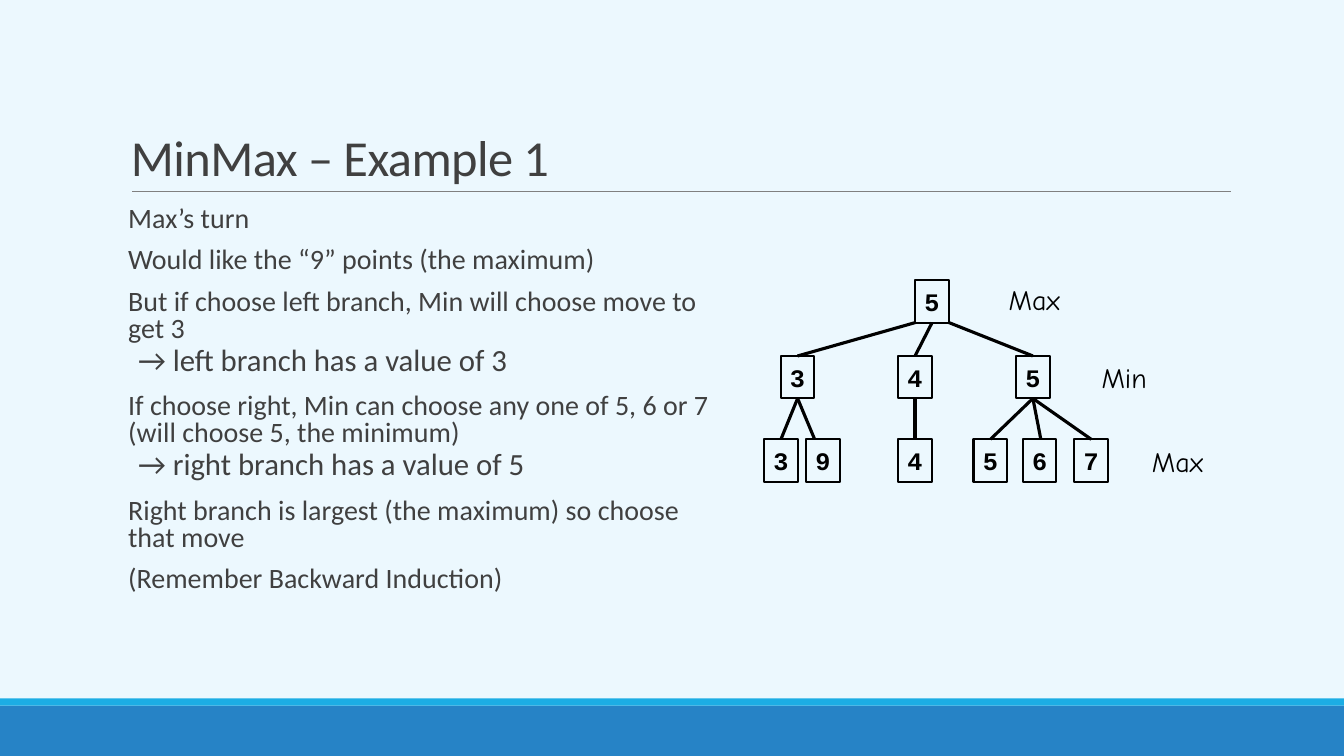
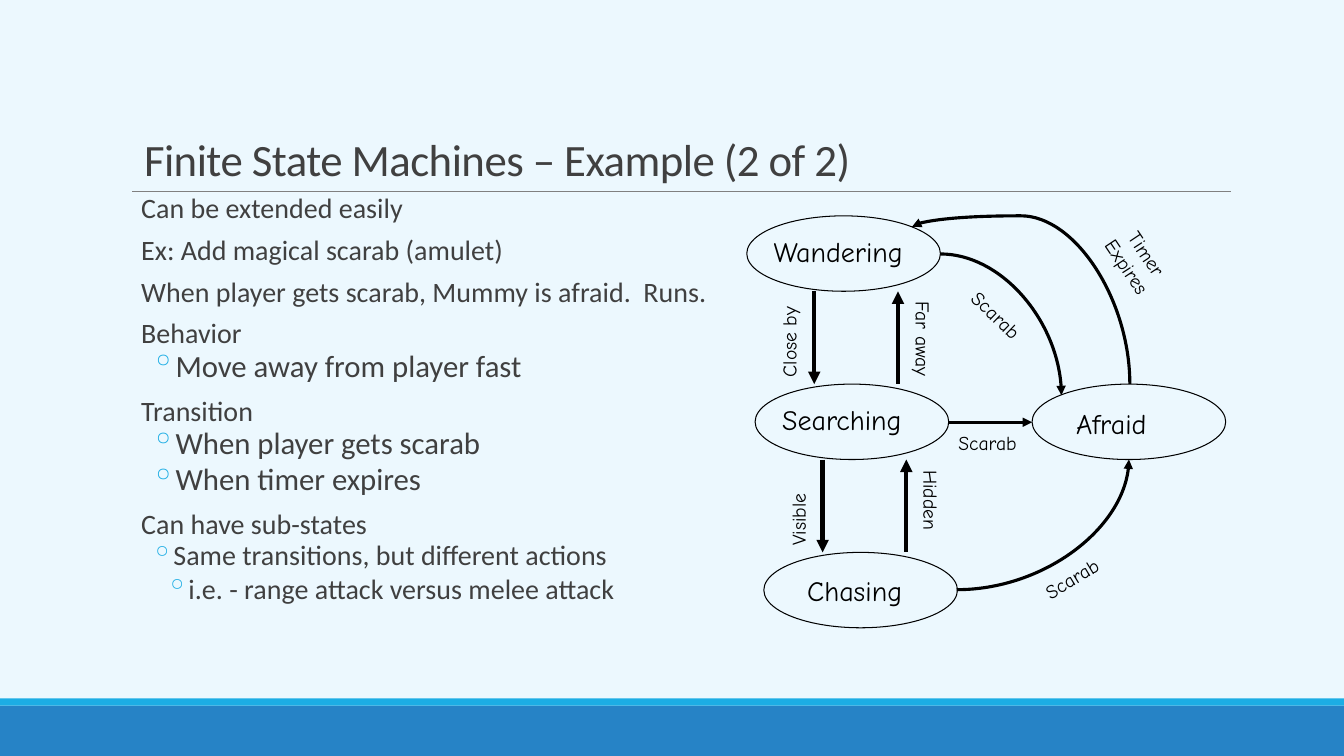
from pptx import Presentation
from pptx.dml.color import RGBColor as Rgb
from pptx.enum.shapes import MSO_CONNECTOR as Join, MSO_SHAPE as Form
from pptx.enum.text import MSO_ANCHOR as Anchor, MSO_AUTO_SIZE as Fit, PP_ALIGN as Align
from pptx.oxml import parse_xml
from pptx.oxml.ns import nsdecls, qn
from pptx.util import Cm, Pt


class Theme:
    back = Rgb.from_string("ECF8FE")
    band = Rgb.from_string("2683C6")
    strip = Rgb.from_string("1CADE4")
    rule = Rgb.from_string("808080")
    text = Rgb.from_string("404040")
    ink = Rgb.from_string("000000")
    face, hand, mono = "Calibri", "Comic Neue", "Courier New"
    body, sub, node, state, note = 20, 22, 18, 20, 14


def label(slide, text, box, size, face=Theme.hand, tint=Theme.ink, turn=0):
    """Add a one-style text box; box is left, top, width, height in cm."""
    shape = slide.shapes.add_textbox(*map(Cm, box))
    shape.rotation = turn
    frame = shape.text_frame
    frame.text = text
    frame.word_wrap = False
    frame.auto_size = Fit.SHAPE_TO_FIT_TEXT
    for para in frame.paragraphs:
        font = para.font
        font.name, font.size, font.color.rgb = face, Pt(size), tint
    return shape


def link(slide, start, end, width, tip=None, tint=Theme.ink, kind=Join.STRAIGHT):
    """Join two points in cm; tip is headEnd, tailEnd or None."""
    line = slide.shapes.add_connector(kind, *map(Cm, start + end))
    line.line.color.rgb = tint
    line.line.width = Pt(width)
    props = line._element.spPr
    if tip:
        props.find(qn("a:ln")).append(parse_xml(f'<a:{tip} {nsdecls("a")} type="triangle"/>'))
    props.append(parse_xml(f'<a:effectLst {nsdecls("a")}/>'))
    return line


prs = Presentation()
prs.slide_width, prs.slide_height = Cm(33.87), Cm(19.05)
fill = prs.slide_master.background.fill
fill.solid()
fill.fore_color.rgb = Theme.back

# Left margin, hanging indent (cm), space before and after (pt) by level
levels = [(0.18, 0, 9, 1.5), (0.81, -0.38, 1.5, 3), (1.19, -0.38, 1.5, 3)]

# Title, its size and box; body box; body lines as level, size, text
pages = [
    ("MinMax – Example 1", 36, (3.05, 0.79, 27.94, 4.04), (3.05, 5.08, 15.01, 11.86), [
        (0, Theme.body, "Max’s turn"),
        (0, Theme.body, "Would like the “9” points (the maximum)"),
        (0, Theme.body, "But if choose left branch, Min will choose move to get 3"),
        (1, Theme.sub, "→ left branch has a value of 3"),
        (0, Theme.body, "If choose right, Min can choose any one of 5, 6 or 7 "
                        "(will choose 5, the minimum)"),
        (1, Theme.sub, "→ right branch has a value of 5"),
        (0, Theme.body, "Right branch is largest (the maximum) so choose that move"),
        (0, Theme.body, "(Remember Backward Induction)"),
    ]),
    ("Finite State Machines – Example (2 of 2)", 32,
     (3.38, 1.63, 22.43, 3.18), (3.38, 4.85, 14.99, 13.34), [
        (0, Theme.body, "Can be extended easily"),
        (0, Theme.body, "Ex: Add magical scarab (amulet)"),
        (0, Theme.body, "When player gets scarab, Mummy is afraid.  Runs."),
        (0, Theme.body, "Behavior"),
        (1, Theme.sub, "Move away from player fast"),
        (0, Theme.body, "Transition"),
        (1, Theme.sub, "When player gets scarab"),
        (1, Theme.sub, "When timer expires"),
        (0, Theme.body, "Can have sub-states"),
        (1, Theme.body, "Same transitions, but different actions"),
        (2, Theme.body, "i.e. - range attack versus melee attack"),
    ]),
]

for title, size, head, area, lines in pages:
    slide = prs.slides.add_slide(prs.slide_layouts[6])
    for top, high, tint in [(17.78, 1.27, Theme.band), (17.6, 0.18, Theme.strip)]:
        bar = slide.shapes.add_shape(Form.RECTANGLE, 0, Cm(top), prs.slide_width, Cm(high))
        bar.shadow.inherit = False
        bar.fill.solid()
        bar.fill.fore_color.rgb = tint
        bar.line.fill.background()
    link(slide, (3.33, 4.83), (31.01, 4.83), 0.5, tint=Theme.rule)

    frame = label(slide, title, head, size, Theme.face, Theme.text).text_frame
    frame.auto_size, frame.word_wrap = Fit.NONE, True
    frame.vertical_anchor = Anchor.BOTTOM
    para = frame.paragraphs[0]
    para.line_spacing = 0.85
    para.runs[0].font._element.set("spc", "-40")

    frame = slide.shapes.add_textbox(*map(Cm, area)).text_frame
    frame.word_wrap = True
    frame.margin_left = frame.margin_right = 0
    for num, (level, size, text) in enumerate(lines):
        para = frame.add_paragraph() if num else frame.paragraphs[0]
        para.text = text
        para.level = level
        para.line_spacing = 0.8
        left, hang, before, after = levels[level]
        para.space_before, para.space_after = Pt(before if num else 0), Pt(after)
        props = para._element.get_or_add_pPr()
        props.set("marL", str(Cm(left)))
        props.set("indent", str(Cm(hang)))
        if level and not text.startswith("→"):
            props.append(parse_xml(
                f'<a:buClr {nsdecls("a")}><a:srgbClr val="{Theme.strip}"/></a:buClr>'))
            props.append(parse_xml(f'<a:buChar {nsdecls("a")} char="◦"/>'))
        font = para.font
        font.name, font.size, font.color.rgb = Theme.face, Pt(size), Theme.text

tree, chart = prs.slides

# Game tree: each branch is value, centre, leaves; each leaf is value, centre, line end
wide, high = 0.85, 1.07
rows = [7.06, 8.97, 11.07]
root = 23.49
branches = [
    ("3", 20.1, [("3", 19.68, 19.68), ("9", 20.74, 20.53)]),
    ("4", 23.06, [("4", 23.06, 23.06)]),
    ("5", 26.03, [("5", 24.96, 24.96), ("6", 26.2, 26.23), ("7", 27.5, 27.5)]),
]
nodes = [("5", root, rows[0])]
for side, (value, mid, leaves) in zip((-1, 0, 1), branches):
    nodes.append((value, mid, rows[1]))
    link(tree, (mid, rows[1]), (root + side * wide / 2, rows[0] + high), 2.25)
    for leaf, spot, end in leaves:
        nodes.append((leaf, spot, rows[2]))
        link(tree, (end, rows[2]), (mid, rows[1] + high), 2.25)
for value, mid, top in nodes:
    node = tree.shapes.add_shape(
        Form.RECTANGLE, Cm(mid - wide / 2), Cm(top), Cm(wide), Cm(high))
    node.shadow.inherit = False
    node.fill.background()
    node.line.color.rgb, node.line.width = Theme.ink, Pt(1.5)
    frame = node.text_frame
    frame.text = value
    frame.word_wrap = False
    frame.vertical_anchor = Anchor.MIDDLE
    para = frame.paragraphs[0]
    para.alignment = Align.CENTER
    font = para.font
    font.name, font.size, font.bold = Theme.mono, Pt(Theme.node), True
    font.color.rgb = Theme.ink
for text, left, top, span in [
        ("Max", 25.17, 6.99, 1.9), ("Min", 27.51, 8.97, 1.7), ("Max", 28.78, 11.07, 1.9)]:
    label(tree, text, (left, top, span, 1.09), Theme.state)

# State machine: oval left and top, then label left, top and width
for name, left, top, inset, drop, span in [
        ("Wandering", 18.82, 5.44, 19.25, 5.79, 4.06),
        ("Searching", 19.03, 9.68, 19.46, 10.03, 3.81),
        ("Chasing", 19.25, 13.92, 20.09, 14.33, 3),
        ("Afraid", 26.01, 9.68, 26.87, 10.11, 2.69)]:
    oval = chart.shapes.add_shape(Form.OVAL, Cm(left), Cm(top), Cm(4.88), Cm(1.9))
    oval.shadow.inherit = False
    oval.fill.background()
    oval.line.color.rgb, oval.line.width = Theme.ink, Pt(0.75)
    label(chart, name, (inset, drop, span, 1.09), Theme.state)

for step in range(2):
    top, shift = 7.34 + 4.24 * step, 0.21 * step
    for left, tip in [(20.52, "tailEnd"), (22.63, "headEnd")]:
        link(chart, (left + shift, top), (left + shift, top + 2.34), 3, tip)
link(chart, (23.9, 10.64), (26.01, 10.64), 2.25, "tailEnd")

# Curves: corners before turning, turn in degrees, preset, bend, arrow
for start, end, turn, preset, bend, tip in [
        ((27.71, 4.95), (23.75, 10.44), 90, "curvedConnector3", 107000, "tailEnd"),
        ((24.64, 11.05), (27.92, 15.39), 90, "curvedConnector2", None, "headEnd"),
        ((23.7, 6.4), (26.75, 9.96), 0, "curvedConnector2", None, "tailEnd")]:
    curve = link(chart, start, end, 2.25, tip, kind=Join.CURVE)
    props = curve._element.spPr
    props.find(qn("a:xfrm")).set("rot", str(turn * 60000))
    shape = props.find(qn("a:prstGeom"))
    shape.set("prst", preset)
    if bend:
        shape.find(qn("a:avLst")).append(
            parse_xml(f'<a:gd {nsdecls("a")} name="adj1" fmla="val {bend}"/>'))

for text, left, top, span, turn in [
        ("Close by", 18.67, 8.13, 2.41, 270), ("Visible", 19.08, 12.55, 2.06, 270),
        ("Far away", 22, 8.2, 2.54, 90), ("Hidden", 22.4, 12.24, 2.13, 90),
        ("Scarab", 23.9, 10.74, 2.13, 0), ("Scarab", 24.1, 7.57, 2.13, 43.7),
        ("Scarab", 26.01, 14.12, 2.13, 328.5)]:
    label(chart, text, (left, top, span, 0.84), Theme.note, turn=turn)
timer = label(chart, "Timer\nExpires", (27.51, 5.84, 2.29, 1.45), Theme.note, turn=56.3)
for para in timer.text_frame.paragraphs:
    para.alignment = Align.CENTER

prs.save("out.pptx")
